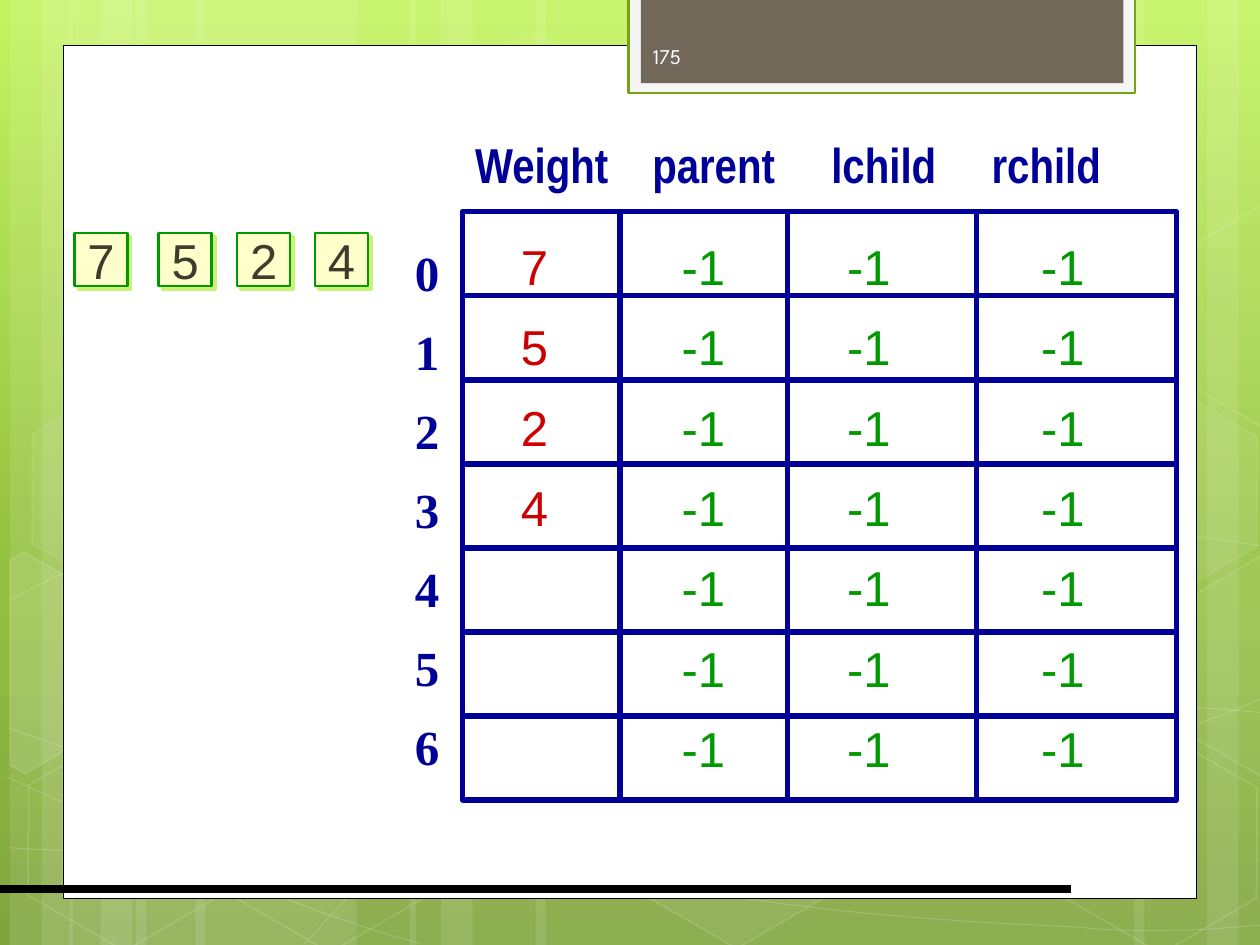
from lxml.etree import SubElement
from pptx import Presentation
from pptx.dml.color import RGBColor
from pptx.enum.shapes import MSO_CONNECTOR, MSO_SHAPE
from pptx.enum.text import MSO_ANCHOR, PP_ALIGN
from pptx.oxml.ns import qn
from pptx.util import Cm, Pt

HUES = {
    "white": "FFFFFF", "black": "000000", "lime": "C3F35F", "leaf": "93BF3F",
    "moss": "81A53E", "frame": "F5F5F5", "edge": "74A510", "taupe": "71685A",
    "pale": "FEFEFE", "cream": "FFFFCC", "green": "009900", "shade": "CAF278",
    "ink": "3E3D2D", "navy": "000099", "red": "CC0000",
}
FONTS = {
    "page": {"name": "League Spartan", "size": Pt(12), "bold": False},
    "digit": {"name": "Arial", "size": Pt(28), "bold": False},
    "head": {"name": "Arial Narrow", "size": Pt(28), "bold": True},
    "index": {"name": "Times New Roman", "size": Pt(28), "bold": True},
}
TIGHT = {"margin_left": 0, "margin_right": 0, "margin_top": 0,
         "margin_bottom": 0, "vertical_anchor": MSO_ANCHOR.MIDDLE}
CURVES = [
    [(.18, 17.09), (1.55, 17.17), (2.92, 17.25), (4.83, 17.22), (6.73, 17.2),
     (9.09, 17.15), (11.63, 16.89), (14.17, 16.64), (17.78, 16.15), (20.12, 15.67),
     (22.43, 15.19), (24.82, 14.43), (25.58, 14)],
    [(.18, 12.12), (.91, 11.71), (1.65, 11.33), (3.07, 10.95), (4.52, 10.57),
     (6.58, 10.01), (8.81, 9.83), (11.07, 9.68), (13.82, 9.63), (16.61, 9.83),
     (19.41, 10.03), (24.05, 10.82), (25.58, 11.02)],
    [(.15, 15.67), (3.23, 17.07), (6.27, 18.47), (8.48, 19.02)],
    [(.18, 14.68), (.97, 14.96), (1.78, 15.24), (3.25, 15.65), (4.72, 16.03),
     (6.93, 16.66), (9.07, 17.09), (11.18, 17.53), (13.84, 17.98), (15.95, 18.24),
     (18.06, 18.52), (20.32, 18.62), (21.67, 18.69), (22.99, 18.8), (23.34, 18.75),
     (24, 18.75), (24.66, 18.72), (25.12, 18.67), (25.58, 18.64)],
    [(6.15, 19.02), (6.6, 18.52), (7.06, 18.01), (7.67, 17.55), (8.28, 17.09),
     (9.14, 16.59), (9.86, 16.23), (10.57, 15.88), (11, 15.72), (11.94, 15.47),
     (12.85, 15.21), (14.55, 14.86), (15.44, 14.68), (16.36, 14.5), (16.48, 14.5),
     (17.27, 14.45), (18.06, 14.38), (19.3, 14.3), (20.17, 14.27), (21.06, 14.25),
     (22.5, 14.27), (22.5, 14.27), (23.07, 14.27), (23.64, 14.27), (24.21, 14.27),
     (24.66, 14.3), (25.1, 14.33), (25.55, 14.38)],
]


def apply(item, vals):
    for key, val in vals.items():
        setattr(item, key, val)


def color(name):
    return RGBColor.from_string(HUES[name])


def tint(part, name, alpha=100):
    part.solid()
    part.fore_color.rgb = color(name)
    if alpha < 100:
        node = part._xPr.find(qn("a:solidFill"))[0]
        SubElement(node, qn("a:alpha"), val=str(alpha * 1000))


def paint(shape, fill=None, line=None, width=1, alpha=100, fade=100):
    shape.shadow.inherit = False
    if fill and alpha:
        tint(shape.fill, fill, alpha)
    else:
        shape.fill.background()
    if line:
        tint(shape.line.fill, line, fade)
        shape.line.width = Pt(width)
    else:
        shape.line.fill.background()
    return shape


def block(slide, box, kind=MSO_SHAPE.RECTANGLE, **look):
    shape = slide.shapes.add_shape(kind, *map(Cm, box))
    return paint(shape, **look)


def trace(slide, dots, close, **look):
    first, *rest = [(Cm(x), Cm(y)) for x, y in dots]
    pen = slide.shapes.build_freeform(*first)
    pen.add_line_segments(rest, close=close)
    return paint(pen.convert_to_shape(), **look)


def bend(shape):
    legs = list(shape._element.iter(qn("a:lnTo")))
    for i in range(0, len(legs), 3):
        arc = SubElement(legs[i].getparent(), qn("a:cubicBezTo"))
        for leg in legs[i:i + 3]:
            arc.append(leg[0])
            leg.getparent().remove(leg)


def stroke(slide, start, end, hue, width):
    line = slide.shapes.add_connector(MSO_CONNECTOR.STRAIGHT, *map(Cm, start + end))
    tint(line.line.fill, hue)
    line.line.width = Pt(width)
    SubElement(line._element.spPr, qn("a:effectLst"))


def dye(run, font, hue):
    apply(run.font, FONTS[font])
    run.font.color.rgb = color(hue)


def write(frame, text, font, hue, align=PP_ALIGN.LEFT, wrap=True):
    apply(frame, {**TIGHT, "word_wrap": wrap})
    frame.text = text
    for para in frame.paragraphs:
        para.alignment = align
        for run in para.runs:
            dye(run, font, hue)


def label(slide, box, *args):
    frame = slide.shapes.add_textbox(*map(Cm, box)).text_frame
    write(frame, *args)
    return frame


def stops(para, places):
    tabs = SubElement(para._p.get_or_add_pPr(), qn("a:tabLst"))
    for pos in places:
        SubElement(tabs, qn("a:tab"), pos=str(Cm(pos)), algn="l")


def sky(slide):
    fill = slide.background.fill
    fill.gradient()
    fill.gradient_angle = 270
    ramp = slide._element.find(".//" + qn("a:gsLst"))
    ramp.clear()
    for pos, name in ((0, "lime"), (62, "leaf"), (100, "moss")):
        stop = SubElement(ramp, qn("a:gs"), pos=str(pos * 1000))
        SubElement(stop, qn("a:srgbClr"), val=HUES[name])


def decor(slide, box):
    x, y, w, h = box
    for left, wide in ((2.74, 4.45), (.2, 1.27), (.84, 2.11), (3.94, 4.45),
                       (1.4, 1.27), (2.03, 2.11), (18.62, 4.45), (24.33, 1.27),
                       (22.86, 2.11), (10.8, 7.82), (8.26, 1.27), (8.89, 2.11)):
        block(slide, (x + left, y, wide, h), fill="white", alpha=10)
    for curve in CURVES:
        dots = [(x + a, y + b) for a, b in curve]
        bend(trace(slide, dots, False, line="white", width=.5, fade=20))
    for left, top, alpha, fade in (
            (8.48, .91, 4, 8), (12.62, 14.96, 6, 12), (.28, 15.01, 0, 12),
            (.36, 7.92, 7, 8), (4.42, 15.04, 0, 12), (21.18, 15.06, 0, 12),
            (21.18, 7.98, 7, 8)):
        cell = block(slide, (x + left, y + top, 4.45, 3.86), MSO_SHAPE.HEXAGON,
                     fill="white", alpha=alpha, line="white", fade=fade)
        cell.rotation = 30
        cell.adjustments[0] = .285
    west = [(.2, 11.3), (.48, 11.13), (2.44, 12.24), (2.41, 14.48), (.51, 15.6), (.2, 15.42)]
    east = [(23.52, 12.32), (25.43, 11.2), (25.63, 11.33), (25.63, 15.57),
            (25.45, 15.67), (23.52, 14.55)]
    for dots, rise, alpha in ((west, 0, 10), (east, 0, 4), (east, 7.06, 0)):
        trace(slide, [(x + a, y + b - rise) for a, b in dots], True,
              fill="white", alpha=alpha, line="white", fade=12)


def panel(slide, box):
    x, y, w, h = box
    block(slide, box, fill="white", line="black", width=.5)
    block(slide, (x + 11.4, y - .96, 10.21, 1.93), fill="frame", line="edge", width=1.25)
    block(slide, (x + 11.65, y - .96, 9.73, 1.73), fill="taupe")
    stroke(slide, (0, y + 17.02), (x + 20.32, y + 17.02), "black", 4.5)
    label(slide, (x + 11.89, y - .29, 3.21, 1.02), "175", "page", "pale")


def queue(slide, box):
    x, y, w, h = box
    for left, text in zip((0, 1.7, 3.28, 4.85), "7524"):
        tile = block(slide, (x + left, y, h, h), fill="cream", line="green", width=1.5)
        write(tile.text_frame, text, "digit", "ink", PP_ALIGN.CENTER, False)
        glow = SubElement(tile._element.spPr.find(qn("a:effectLst")), qn("a:outerShdw"),
                          dist=str(Pt(2.8)), dir="2700000", algn="ctr", rotWithShape="0")
        SubElement(glow, qn("a:srgbClr"), val=HUES["shade"])


def grid(slide, box):
    x, y, w, h = box
    keys = ("7", "5", "2", "4", "", "", "")
    block(slide, box, line="navy", width=3)
    for left in (3.18, 6.55, 10.36):
        stroke(slide, (x + left, y), (x + left, y + h), "navy", 3)
    for row in range(1, len(keys)):
        top = y + h * row / len(keys)
        stroke(slide, (x, top), (x + w, top), "navy", 3)
    head = label(slide, (x + .26, y - 1.68, 13.5, 1.45),
                 "Weight\tparent\tlchild\trchild", "head", "navy")
    stops(head.paragraphs[0], (3.57, 7.18, 10.41))
    body = label(slide, (x + 1.18, y, 12.4, 11.66),
                 "\n".join(keys), "digit", "red")
    for para in body.paragraphs:
        apply(para, {"line_spacing": 1.2, "space_before": Pt(5.6)})
        stops(para, (3.24, 6.58, 10.49))
        run = para.add_run()
        run.text = "\t-1" * 3
        dye(run, "digit", "green")
    index = label(slide, (x - 1.22, y + .23, 1.02, 11.46),
                  "\n".join(map(str, range(len(keys)))), "index", "navy", PP_ALIGN.CENTER)
    for para in index.paragraphs:
        apply(para, {"line_spacing": 1.05, "space_before": Pt(9.8)})


def main():
    deck = Presentation()
    apply(deck, {"slide_width": Cm(25.4), "slide_height": Cm(19.05)})
    slide = deck.slides.add_slide(deck.slide_layouts[6])
    sky(slide)
    decor(slide, (0, 0, 25.4, 19.05))
    panel(slide, (1.27, .91, 22.86, 17.2))
    queue(slide, (1.5, 4.7, 5.92, 1.07))
    grid(slide, (9.32, 4.27, 14.4, 11.86))
    deck.save("out.pptx")


if __name__ == "__main__":
    main()
